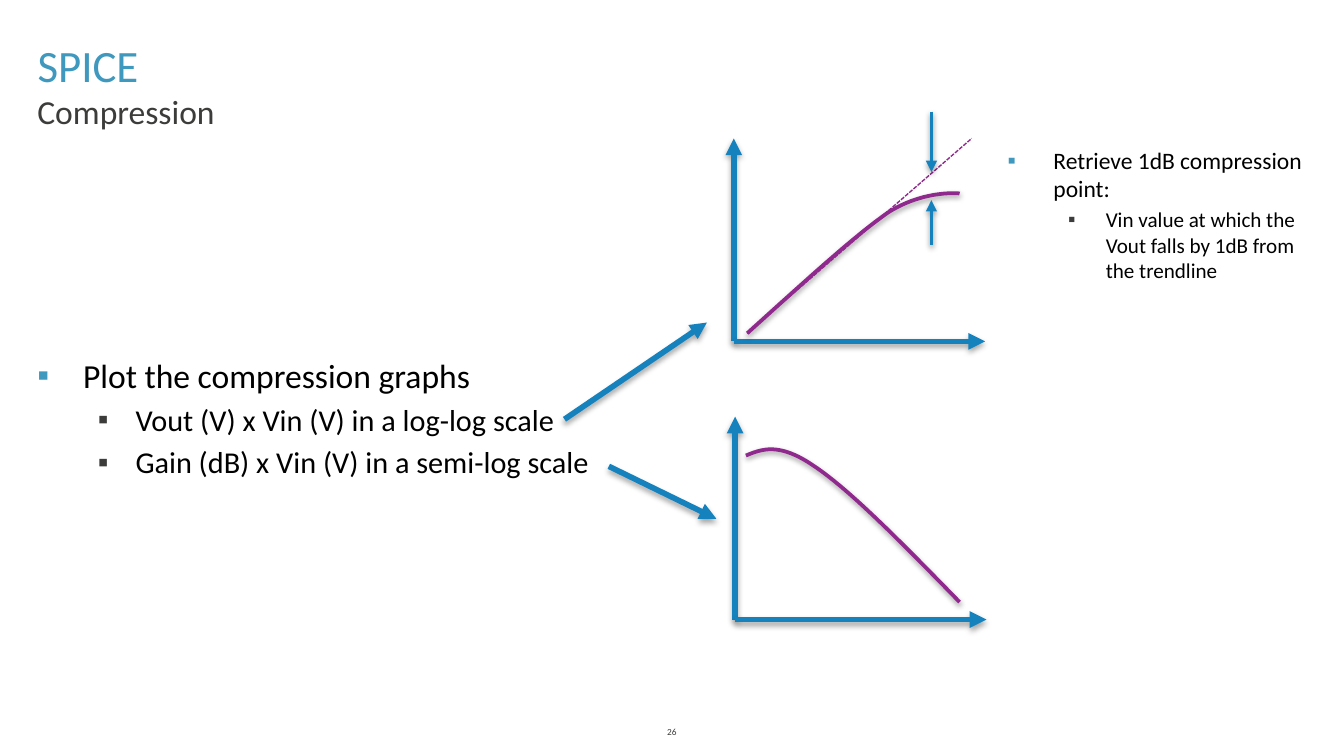
from lxml import etree
from pptx import Presentation
from pptx import util as u
from pptx.dml.color import RGBColor
from pptx.enum import dml, shapes, text
from pptx.oxml import ns

# Content
TITLE, SUBTITLE, PAGE = "SPICE", "Compression", "26"
PLOT_POINTS = [(0, "Plot the compression graphs"),
               (1, "Vout (V) x Vin (V) in a log-log scale"),
               (1, "Gain (dB) x Vin (V) in a semi-log scale")]
COMPRESSION_POINTS = [(0, "Retrieve 1dB compression point:"),
                      (1, "Vin value at which the Vout falls by 1dB from the trendline")]

FONT = "Calibri"
CYAN, BLUE, PURPLE, GREY, BLACK = "3F98BD", "1582BE", "90298D", "3C3C3B", "000000"

# Per level: left margin and hanging indent in inches, bullet colour
LEVELS = [(0.34, -0.34, CYAN), (0.73, -0.28, GREY)]

# Graphs: axis origin, then a start point and its Bezier segments
AXIS_WIDTH, AXIS_HEIGHT = 1.87, 1.51
GRAPHS = [
    ((5.46, 2.54), (5.56, 2.48), [((5.96, 2.12), (6.35, 1.76), (6.61, 1.58)),
                                  ((6.88, 1.41), (7.14, 1.44), (7.14, 1.44))]),
    ((5.47, 4.61), (5.55, 3.39), [((5.67, 3.34), (5.8, 3.29), (6.06, 3.47)),
                                  ((6.33, 3.65), (6.73, 4.06), (7.14, 4.48))]),
]
TRENDLINE = ((5.56, 2.48), (7.23, 1.03))
POINTERS = [((4.2, 3.12), (5.26, 2.4)), ((4.53, 3.47), (5.33, 3.86))]
GAP_MARKERS = [((6.93, 1.82), (6.93, 1.49)), ((6.93, 0.83), (6.93, 1.28))]


def colour(value):
    return RGBColor.from_string(value)


def add_xml(parent, tag, **attributes):
    return etree.SubElement(parent, ns.qn(tag), attributes)


def add_effects(shape, opacity=0, distance=0):
    """Give a downward shadow, or none when opacity is zero."""
    effects = add_xml(shape.element.spPr, "a:effectLst")
    if opacity:
        shadow = add_xml(effects, "a:outerShdw", blurRad=str(u.Pt(3.1)),
                         dist=str(u.Pt(distance)), dir="5400000", rotWithShape="0")
        black = add_xml(shadow, "a:srgbClr", val=BLACK)
        add_xml(black, "a:alpha", val=str(opacity * 1000))


def add_line(start, end, value=BLUE, width=3, arrow=True):
    ends = [u.Inches(n) for n in (*start, *end)]
    line = slide.shapes.add_connector(shapes.MSO_CONNECTOR.STRAIGHT, *ends)
    line.line.color.rgb = colour(value)
    line.line.width = u.Pt(width)
    if arrow:
        add_xml(line.element.spPr.get_or_add_ln(), "a:tailEnd", type="triangle")
        add_effects(line, *((35, 1.8) if width == 3 else (38, 1.6)))
    else:
        line.line.dash_style = dml.MSO_LINE.SQUARE_DOT
        add_effects(line)


def bezier(p0, p1, p2, p3, steps=24):
    """Yield points along a cubic curve, in EMU."""
    for step in range(1, steps + 1):
        t = step / steps
        weights = ((1 - t) ** 3, 3 * t * (1 - t) ** 2, 3 * t * t * (1 - t), t ** 3)
        yield tuple(u.Inches(sum(w * p[axis] for w, p in zip(weights, (p0, p1, p2, p3))))
                    for axis in (0, 1))


def add_curve(start, segments):
    points, current = [], start
    for segment in segments:
        points += bezier(current, *segment)
        current = segment[-1]
    builder = slide.shapes.build_freeform(*map(u.Inches, start))
    builder.add_line_segments(points, close=False)
    curve = builder.convert_to_shape()
    curve.fill.background()
    curve.line.color.rgb = colour(PURPLE)
    curve.line.width = u.Pt(2)
    add_effects(curve, 38, 1.6)


def place(shape, box, anchor):
    shape.left, shape.top, shape.width, shape.height = map(u.Inches, box)
    frame_format = {"word_wrap": True, "vertical_anchor": anchor,
                    "auto_size": text.MSO_AUTO_SIZE.NONE}
    for name, value in frame_format.items():
        setattr(shape.text_frame, name, value)
    return shape.text_frame


def write(paragraph, words, size, value, align=text.PP_ALIGN.LEFT):
    paragraph.text = words
    paragraph.alignment = align
    for name, setting in {"name": FONT, "size": u.Pt(size), "bold": False}.items():
        setattr(paragraph.font, name, setting)
    paragraph.font.color.rgb = colour(value)


def add_text(box, words, size, value, anchor, align=text.PP_ALIGN.LEFT):
    frame = place(slide.shapes.add_textbox(0, 0, 0, 0), box, anchor)
    write(frame.paragraphs[0], words, size, value, align)


def add_bullets(box, items, sizes):
    frame = place(slide.shapes.add_textbox(0, 0, 0, 0), box, text.MSO_ANCHOR.MIDDLE)
    for index, (level, words) in enumerate(items):
        paragraph = frame.add_paragraph() if index else frame.paragraphs[0]
        margin, indent, bullet_colour = LEVELS[level]
        properties = paragraph._p.get_or_add_pPr()
        properties.set("marL", str(u.Inches(margin)))
        properties.set("indent", str(u.Inches(indent)))
        add_xml(add_xml(properties, "a:buClr"), "a:srgbClr", val=bullet_colour)
        add_xml(properties, "a:buFont", typeface="Arial")
        add_xml(properties, "a:buChar", char="▪")
        paragraph.level = level
        if index:
            paragraph.space_before = u.Pt(round(sizes[level] * 0.2, 1))
        write(paragraph, words, sizes[level], BLACK)


# Widescreen 16:9 slide
presentation = Presentation()
presentation.slide_width = u.Inches(10)
presentation.slide_height = presentation.slide_width * 9 // 16
slide = presentation.slides.add_slide(presentation.slide_layouts[5])

# Title, subtitle and page number
title_frame = place(slide.shapes.title, (0.18, 0.23, 9.57, 0.5), text.MSO_ANCHOR.BOTTOM)
write(title_frame.paragraphs[0], TITLE, 24, CYAN)
add_text((0.18, 0.63, 9.57, 0.4), SUBTITLE, 18, GREY, text.MSO_ANCHOR.TOP)
add_text((4.53, 5.35, 0.94, 0.19), PAGE, 5, GREY, text.MSO_ANCHOR.MIDDLE,
         text.PP_ALIGN.CENTER)

# Bullet lists
add_bullets((0.18, 1.18, 4.71, 3.85), PLOT_POINTS, (18, 16.2))
add_bullets((7.4, 1.13, 2.43, 0.93), COMPRESSION_POINTS, (12.6, 11.3))

# Graphs with their axes
for (x, y), start, segments in GRAPHS:
    add_line((x, y), (x, y - AXIS_HEIGHT))
    add_line((x, y), (x + AXIS_WIDTH, y))
    add_curve(start, segments)
add_line(*TRENDLINE, value=PURPLE, width=0.75, arrow=False)

# Pointers from the list and markers of the 1dB gap
for pointer in POINTERS:
    add_line(*pointer)
for marker in GAP_MARKERS:
    add_line(*marker, width=2)

presentation.save("out.pptx")
